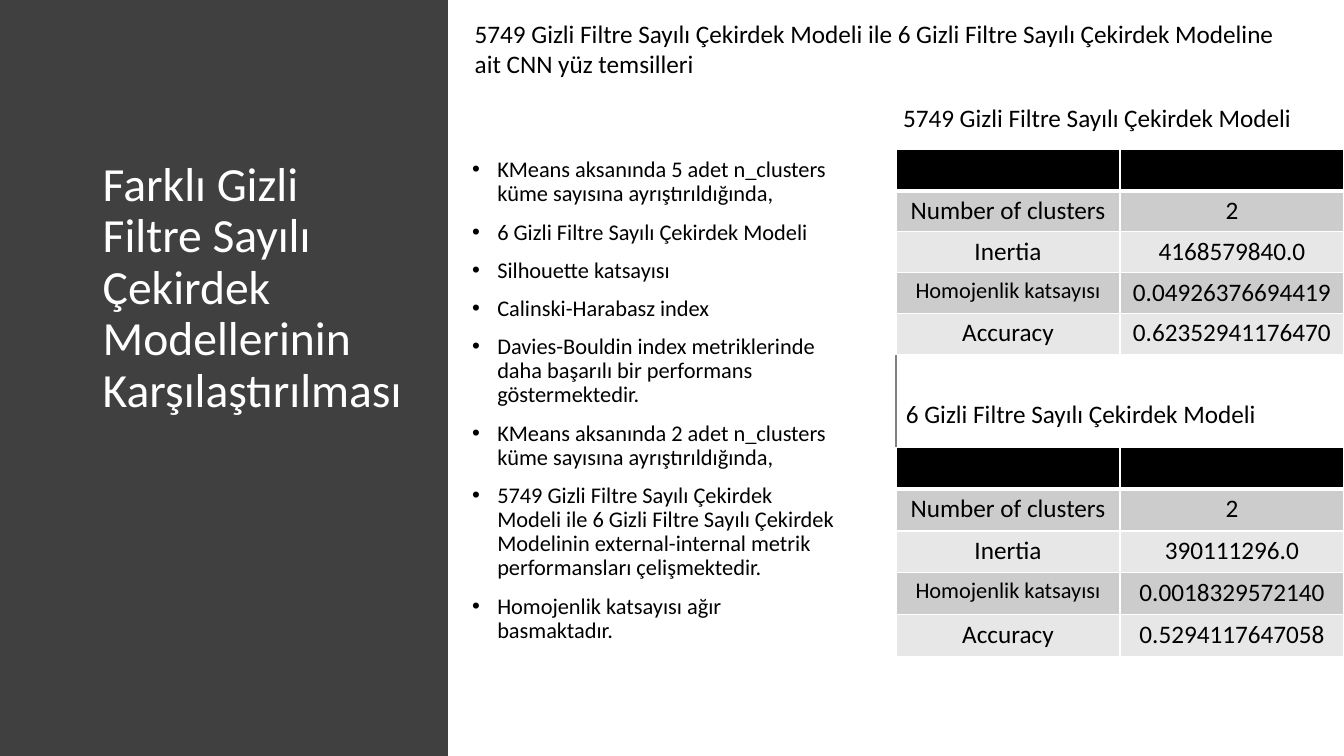
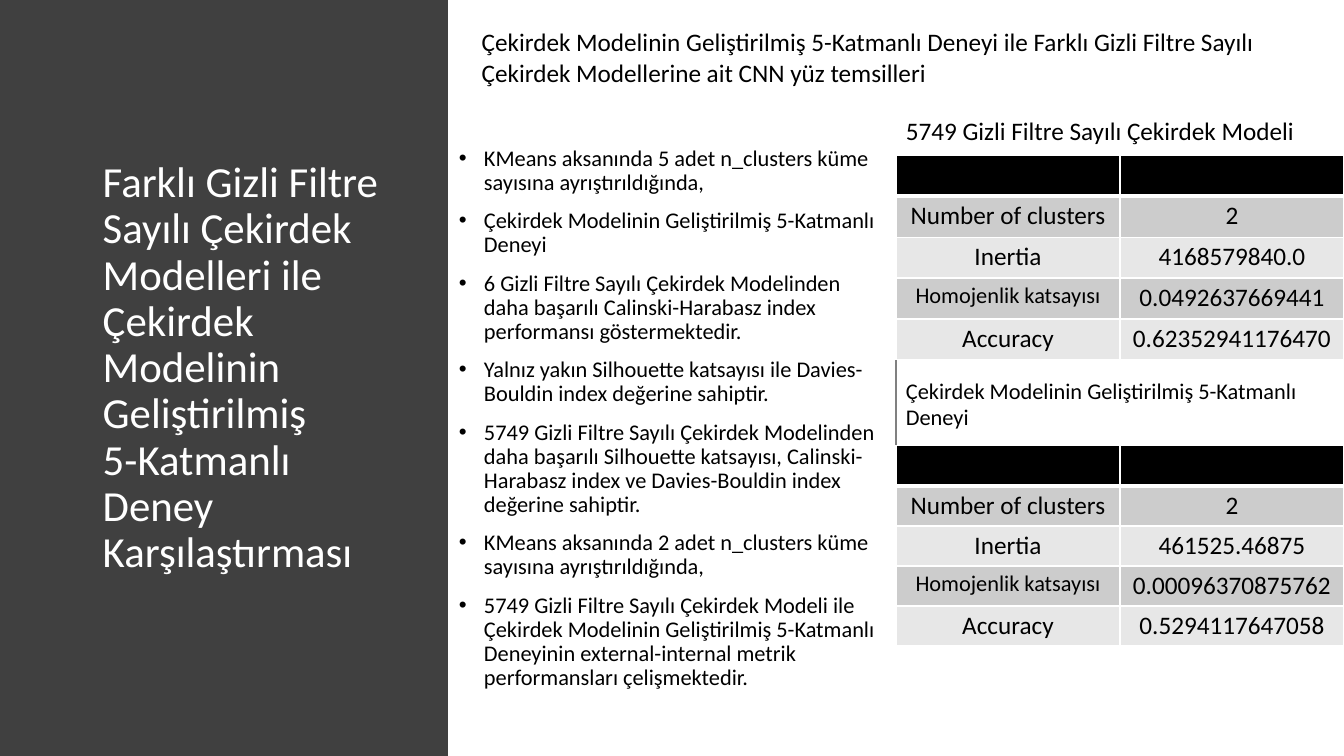
from lxml import etree
from pptx import Presentation
from pptx import util as u
from pptx.dml.color import RGBColor
from pptx.enum import shapes, text
from pptx.oxml.ns import qn

FONT = "Calibri"
COLORS = {
    "panel": "404040",
    "title": "FFFFFF",
    "text": "000000",
    "divider": "808080",
    "border": "FFFFFF",
    "header": "000000",
    "odd_row": "CCCCCC",
    "even_row": "E7E7E7",
}
TABLE_LEFT, COLUMN_WIDTH = 640, 160
METRICS = ["Number of clusters", "Inertia", "Homojenlik katsayısı", "Accuracy"]
METRIC_SIZES = [18, 18, 16, 18]

# Each box is left, top, width, height
COMPARISONS = [
    {
        "title": "Farklı Gizli Filtre Sayılı Çekirdek Modellerinin Karşılaştırılması",
        "title_size": 34,
        "heading": ("5749 Gizli Filtre Sayılı Çekirdek Modeli ile 6 Gizli Filtre "
                    "Sayılı Çekirdek Modeline ait CNN yüz temsilleri",
                    (332, 9.5, 597, 51), 18),
        "body_box": (330, 109.5, 274.5, 374.5),
        "bullets": [
            "KMeans aksanında 5 adet n_clusters küme sayısına ayrıştırıldığında,",
            "6 Gizli Filtre Sayılı Çekirdek Modeli",
            "Silhouette katsayısı",
            "Calinski-Harabasz index",
            "Davies-Bouldin index metriklerinde daha başarılı bir performans göstermektedir.",
            "KMeans aksanında 2 adet n_clusters küme sayısına ayrıştırıldığında,",
            "5749 Gizli Filtre Sayılı Çekirdek Modeli ile 6 Gizli Filtre Sayılı "
            "Çekirdek Modelinin external-internal metrik performansları çelişmektedir.",
            "Homojenlik katsayısı ağır basmaktadır.",
        ],
        "captions": [
            ("5749 Gizli Filtre Sayılı Çekirdek Modeli", (638, 69.5, 296, 29), 18),
            ("6 Gizli Filtre Sayılı Çekirdek Modeli", (640, 281, 320, 29), 18),
        ],
        # top, row height, values
        "tables": [
            (107, 29.2, ["2", "4168579840.0", "0.04926376694419", "0.62352941176470"]),
            (319.7, 29.8, ["2", "390111296.0", "0.0018329572140", "0.5294117647058"]),
        ],
    },
    {
        "title": "Farklı Gizli Filtre Sayılı Çekirdek Modelleri ile Çekirdek "
                 "Modelinin Geliştirilmiş\v5-Katmanlı Deney Karşılaştırması",
        "title_size": 30.6,
        "heading": ("Çekirdek Modelinin Geliştirilmiş 5-Katmanlı Deneyi ile Farklı "
                    "Gizli Filtre Sayılı Çekirdek Modellerine ait CNN yüz temsilleri",
                    (337, 15.5, 572, 51), 18),
        "body_box": (320.5, 101.5, 319.5, 400),
        "bullets": [
            "KMeans aksanında 5 adet n_clusters küme sayısına ayrıştırıldığında,",
            "Çekirdek Modelinin Geliştirilmiş 5-Katmanlı Deneyi",
            "6 Gizli Filtre Sayılı Çekirdek Modelinden daha başarılı "
            "Calinski-Harabasz index performansı göstermektedir.",
            "Yalnız yakın Silhouette katsayısı ile Davies-Bouldin index değerine sahiptir.",
            "5749 Gizli Filtre Sayılı Çekirdek Modelinden daha başarılı Silhouette "
            "katsayısı, Calinski-Harabasz index ve Davies-Bouldin index değerine sahiptir.",
            "KMeans aksanında 2 adet n_clusters küme sayısına ayrıştırıldığında,",
            "5749 Gizli Filtre Sayılı Çekirdek Modeli ile Çekirdek Modelinin "
            "Geliştirilmiş 5-Katmanlı Deneyinin external-internal metrik "
            "performansları çelişmektedir.",
        ],
        "captions": [
            ("5749 Gizli Filtre Sayılı Çekirdek Modeli", (640, 78.5, 304.5, 29), 18),
            ("Çekirdek Modelinin Geliştirilmiş 5-Katmanlı Deneyi", (640, 265.5, 320, 46), 16),
        ],
        "tables": [
            (111, 29.2, ["2", "4168579840.0", "0.0492637669441", "0.62352941176470"]),
            (318.5, 28.6, ["2", "461525.46875", "0.00096370875762", "0.5294117647058"]),
        ],
    },
]


def color(name):
    return RGBColor.from_string(COLORS[name])


def points(values):
    return [u.Pt(value) for value in values]


def set_font(paragraph, size, color_name="text"):
    paragraph.font.name = FONT
    paragraph.font.size = u.Pt(size)
    paragraph.font.color.rgb = color(color_name)


def prepare_frame(shape, box):
    """Place a text shape and return its wrapped, top-anchored frame."""
    shape.left, shape.top, shape.width, shape.height = points(box)
    frame = shape.text_frame
    frame.word_wrap = True
    frame.auto_size = text.MSO_AUTO_SIZE.NONE
    frame.vertical_anchor = text.MSO_ANCHOR.TOP
    return frame


def add_panel_title(slide, words, size):
    title = slide.shapes.title
    panel = slide.shapes.add_shape(shapes.MSO_SHAPE.RECTANGLE, *points((0, 0, 320, 540)))
    panel.shadow.inherit = False
    panel.fill.solid()
    panel.fill.fore_color.rgb = color("panel")
    panel.line.fill.background()
    title.element.addprevious(panel.element)  # the panel lies behind the title

    frame = prepare_frame(title, (66.2, 111, 228.3, 343.5))
    frame.text = words
    paragraph = frame.paragraphs[0]
    paragraph.alignment = text.PP_ALIGN.LEFT
    paragraph.line_spacing = 0.9
    set_font(paragraph, size, "title")


def add_bullets(slide, box, items):
    frame = prepare_frame(slide.placeholders[1], box)
    frame.text = "\n".join(items)
    for index, paragraph in enumerate(frame.paragraphs):
        properties = paragraph._p.get_or_add_pPr()
        properties.set("marL", str(u.Pt(18)))
        properties.set("indent", str(-u.Pt(18)))
        etree.SubElement(properties, qn("a:buFont"), typeface="Arial")
        etree.SubElement(properties, qn("a:buChar"), char="•")
        paragraph.line_spacing = 0.9
        paragraph.space_before = u.Pt(10 if index else 0)
        set_font(paragraph, 16)


def add_label(slide, words, box, size):
    frame = prepare_frame(slide.shapes.add_textbox(*points(box)), box)
    frame.text = words
    set_font(frame.paragraphs[0], size)


def add_divider(slide):
    divider = slide.shapes.add_connector(
        shapes.MSO_CONNECTOR.STRAIGHT, *points((TABLE_LEFT, 111, TABLE_LEFT, 399)))
    divider.line.color.rgb = color("divider")
    divider.line.width = u.Pt(1)
    etree.SubElement(divider.element.spPr, qn("a:effectLst"))


def set_borders(cell, widths):
    """Draw the cell edges; widths maps L, R, T, B to points."""
    properties = cell._tc.get_or_add_tcPr()
    for position, (side, width) in enumerate(widths.items()):
        line = etree.Element(qn(f"a:ln{side}"), w=str(u.Pt(width)))
        fill = etree.SubElement(line, qn("a:solidFill"))
        etree.SubElement(fill, qn("a:srgbClr"), val=COLORS["border"])
        properties.insert(position, line)


def add_metric_table(slide, top, row_height, values):
    rows = [("", "")] + list(zip(METRICS, values))
    box = (TABLE_LEFT, top, 2 * COLUMN_WIDTH, len(rows) * row_height)
    table = slide.shapes.add_table(len(rows), 2, *points(box)).table
    for row_index, row in enumerate(rows):
        table.rows[row_index].height = u.Pt(row_height)
        fill_name = "odd_row" if row_index % 2 else "even_row"
        for column_index, words in enumerate(row):
            cell = table.cell(row_index, column_index)
            cell.margin_top = cell.margin_bottom = u.Pt(3.3)
            cell.fill.solid()
            cell.fill.fore_color.rgb = color(fill_name if row_index else "header")
            set_borders(cell, {"L": 1, "R": 1,
                               "T": 3 if row_index == 1 else 1,
                               "B": 3 if row_index == 0 else 1})
            if words:
                cell.text = words
                paragraph = cell.text_frame.paragraphs[0]
                paragraph.alignment = text.PP_ALIGN.CENTER
                size = 18 if column_index else METRIC_SIZES[row_index - 1]
                set_font(paragraph, size)


def main():
    presentation = Presentation()
    presentation.slide_width, presentation.slide_height = points((960, 540))
    for comparison in COMPARISONS:
        slide = presentation.slides.add_slide(presentation.slide_layouts[1])
        # Left panel and bullet column
        add_panel_title(slide, comparison["title"], comparison["title_size"])
        add_bullets(slide, comparison["body_box"], comparison["bullets"])
        # Result tables with their labels
        add_divider(slide)
        for table in comparison["tables"]:
            add_metric_table(slide, *table)
        for label in [comparison["heading"], *comparison["captions"]]:
            add_label(slide, *label)
    presentation.save("out.pptx")


if __name__ == "__main__":
    main()
